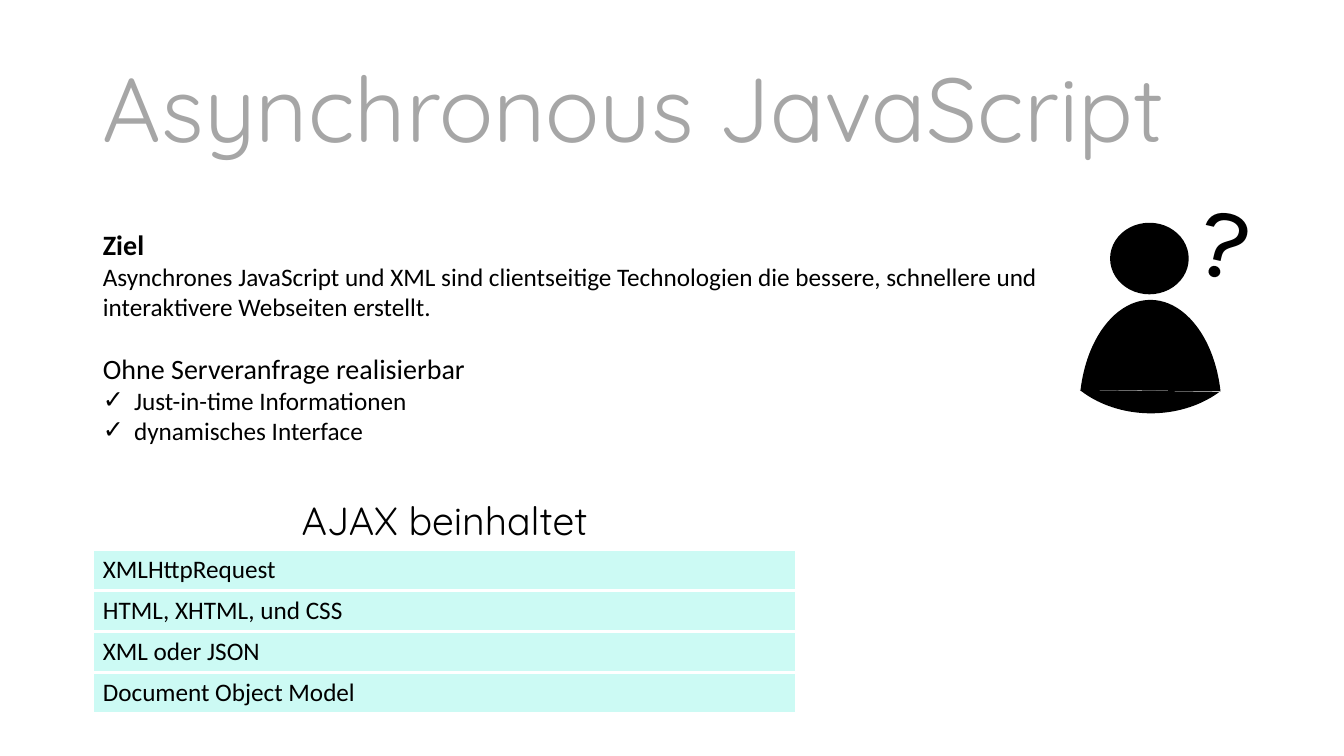
"""Build the slide about asynchronous JavaScript."""
from lxml import etree
from pptx import Presentation
from pptx.dml.color import RGBColor
from pptx.enum.shapes import MSO_SHAPE
from pptx.enum.text import MSO_ANCHOR, MSO_AUTO_SIZE, PP_ALIGN
from pptx.oxml.ns import qn
from pptx.util import Inches, Pt

ELLIPSE, CHORD = MSO_SHAPE.OVAL, MSO_SHAPE.CHORD
MIDDLE, TOP = MSO_ANCHOR.MIDDLE, MSO_ANCHOR.TOP
LEFT, CENTER = PP_ALIGN.LEFT, PP_ALIGN.CENTER
NO_AUTOFIT = MSO_AUTO_SIZE.NONE

BLACK, GREY, WHITE, TURQUOISE = "000000", "A6A6A6", "FFFFFF", "11E9CF"
TINT_OPACITY = 21
HEADING_FONT, TEXT_FONT, SYMBOL_FONT = "Quicksand", "Calibri", "Karla"

GOAL_LINES = [
    ("Ziel", 20, True, False, 0),
    ("Asynchrones JavaScript und XML sind clientseitige Technologien die "
     "bessere, schnellere und interaktivere Webseiten erstellt.", 18, False, False, 0),
    ("Ohne Serveranfrage realisierbar", 20, False, False, 21),
    ("Just-in-time Informationen", 18, False, True, 0),
    ("dynamisches Interface", 18, False, True, 0),
]
AJAX_HEADING = "AJAX beinhaltet"
AJAX_PARTS = ["XMLHttpRequest", "HTML, XHTML, und CSS", "XML oder JSON",
              "Document Object Model"]


def color(value):
    """Turn a hex string into a colour."""
    return RGBColor.from_string(value)


def place(item, left, top, width, height):
    """Move and size an object, in inches."""
    item.left, item.top = Inches(left), Inches(top)
    item.width, item.height = Inches(width), Inches(height)


def format_para(para, font, size, ink=BLACK, align=LEFT, bold=False):
    """Format a paragraph and its runs."""
    para.alignment = align
    for span in para.runs:
        span.font.name = font
        span.font.size = Pt(size)
        span.font.bold = bold
        span.font.color.rgb = color(ink)


def set_bullet(para, ticked):
    """Give a paragraph a hanging tick or no bullet."""
    properties = para._p.get_or_add_pPr()
    indent = Inches(0.31) if ticked else 0
    properties.set("marL", str(indent))
    properties.set("indent", str(-indent))
    if ticked:
        etree.SubElement(properties, qn("a:buChar")).set("char", "✓")
    else:
        etree.SubElement(properties, qn("a:buNone"))


def fill_title(title):
    """Write the title."""
    place(title, 0.92, 0.4, 11.5, 1.45)
    frame = title.text_frame
    frame.text = "Asynchronous JavaScript"
    frame.auto_size = NO_AUTOFIT
    frame.vertical_anchor = MIDDLE
    frame.paragraphs[0].line_spacing = 0.9
    format_para(frame.paragraphs[0], HEADING_FONT, 64.8, GREY)


def fill_goals(body):
    """Write the goal and the ticked list."""
    place(body, 0.92, 2.21, 9.48, 2.29)
    frame = body.text_frame
    frame.text = "\n".join(line[0] for line in GOAL_LINES)
    frame.auto_size = NO_AUTOFIT
    frame.vertical_anchor = TOP
    for para, (_, size, bold, ticked, gap) in zip(frame.paragraphs, GOAL_LINES):
        para.space_before = Pt(gap)
        format_para(para, TEXT_FONT, size, bold=bold)
        set_bullet(para, ticked)


def set_borders(cell):
    """Draw white lines around a cell."""
    properties = cell._tc.get_or_add_tcPr()
    for position, side in enumerate(("a:lnL", "a:lnR", "a:lnT", "a:lnB")):
        line = etree.Element(qn(side), w=str(Pt(2.25)))
        paint = etree.SubElement(line, qn("a:solidFill"))
        etree.SubElement(paint, qn("a:srgbClr")).set("val", WHITE)
        properties.insert(position, line)


def tint(cell):
    """Fill a cell with translucent turquoise."""
    cell.fill.solid()
    cell.fill.fore_color.rgb = color(TURQUOISE)
    paint = cell._tc.tcPr.find(".//" + qn("a:srgbClr"))
    etree.SubElement(paint, qn("a:alpha")).set("val", str(TINT_OPACITY * 1000))


def add_ajax_table(page):
    """Add the table of the parts of AJAX."""
    height, heading_height = 2.2, 0.58
    texts = [AJAX_HEADING] + AJAX_PARTS
    table = page.shapes.add_table(len(texts), 1, Inches(0.92), Inches(4.87),
                                  Inches(6.98), Inches(height)).table
    table.first_row = table.horz_banding = False
    for index, text in enumerate(texts):
        cell = table.cell(index, 0)
        cell.text = text
        para = cell.text_frame.paragraphs[0]
        if index == 0:
            table.rows[index].height = Inches(heading_height)
            cell.fill.background()
            format_para(para, HEADING_FONT, 28, align=CENTER)
        else:
            table.rows[index].height = Inches((height - heading_height) / len(AJAX_PARTS))
            tint(cell)
            format_para(para, TEXT_FONT, 18)
        set_borders(cell)


def add_solid(shapes, kind, frame, rotation=0, adjustments=()):
    """Add a black shape without outline."""
    shape = shapes.add_shape(kind, *map(Inches, frame))
    shape.shadow.inherit = False
    shape.fill.solid()
    shape.fill.fore_color.rgb = color(BLACK)
    shape.line.fill.background()
    shape.rotation = rotation
    for index, value in enumerate(adjustments):
        shape.adjustments[index] = value


def add_person(page):
    """Add the person made of a head and two chords."""
    person = page.shapes.add_group_shape().shapes
    add_solid(person, ELLIPSE, (11.01, 2.21, 0.78, 0.71))
    add_solid(person, CHORD, (10.32, 3.36, 2.18, 1.41), 90, (63.51, 153.12))
    add_solid(person, CHORD, (10.61, 2.29, 1.61, 2.01), 270, (78.61, 138.52))


def add_question_mark(page):
    """Add the tilted question mark."""
    box = page.shapes.add_textbox(*map(Inches, (11.81, 1.7, 0.6, 1.31)))
    box.rotation = 12.9
    box.text_frame.word_wrap = False
    box.text_frame.text = "?"
    format_para(box.text_frame.paragraphs[0], SYMBOL_FONT, 72, align=CENTER)


def main():
    """Build and save the deck."""
    deck = Presentation()
    deck.slide_width, deck.slide_height = Inches(13.33), Inches(7.5)
    page = deck.slides.add_slide(deck.slide_layouts[1])
    fill_title(page.shapes.title)
    fill_goals(page.placeholders[1])
    add_ajax_table(page)
    add_person(page)
    add_question_mark(page)
    deck.save("out.pptx")


main()
